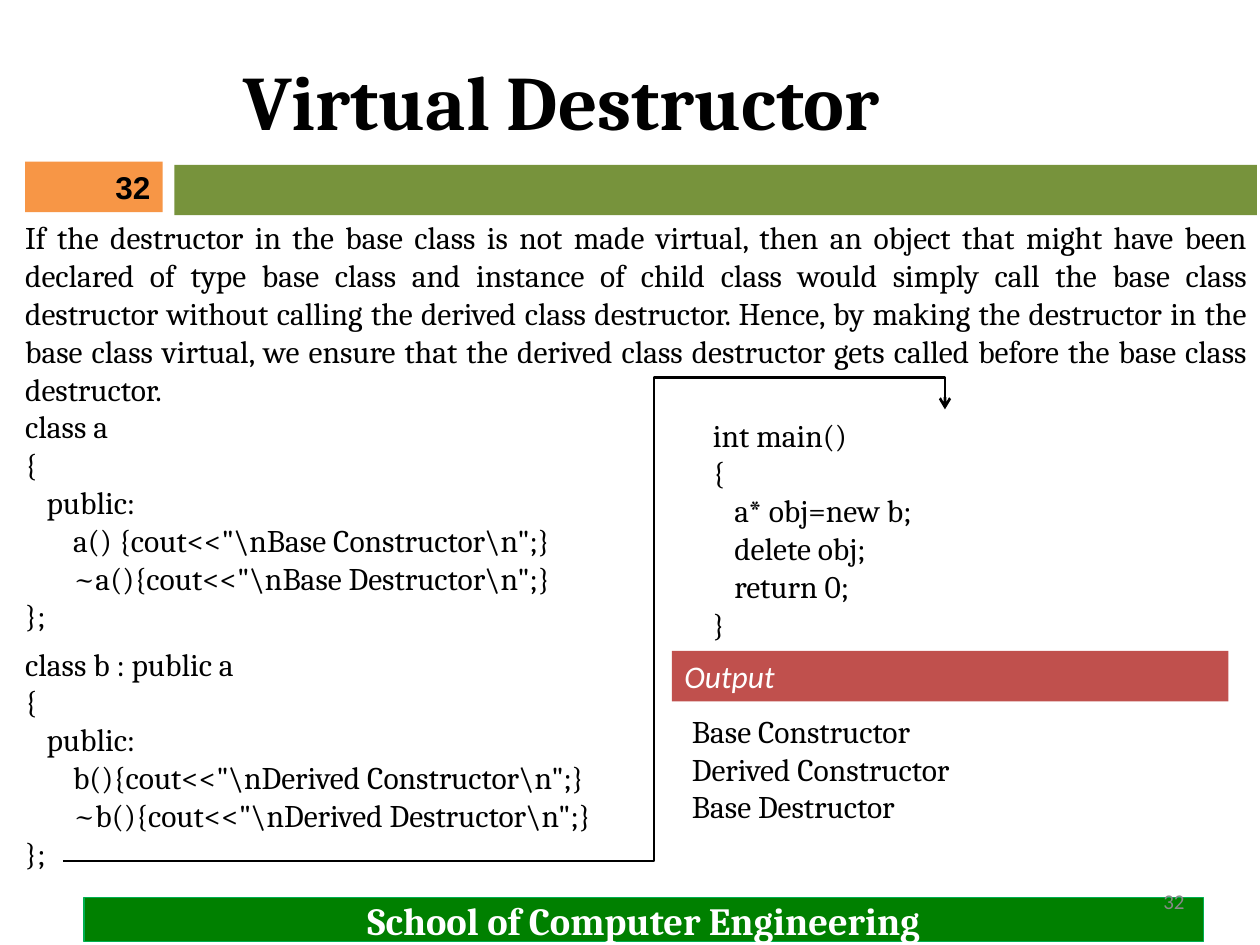
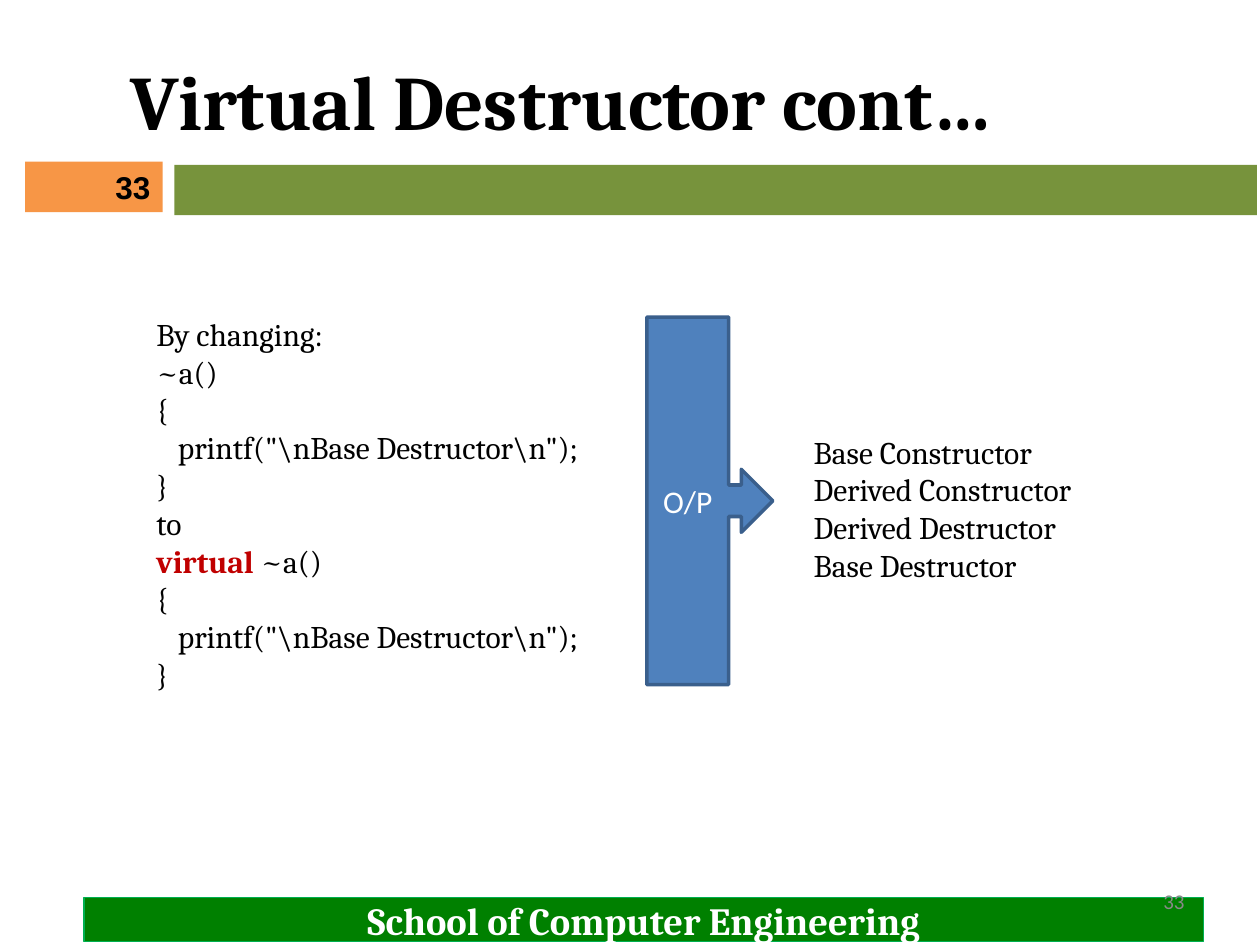
from lxml import etree
from pptx import Presentation
from pptx.dml.color import RGBColor
from pptx.enum.shapes import MSO_CONNECTOR, MSO_SHAPE
from pptx.enum.text import MSO_ANCHOR, MSO_AUTO_SIZE, PP_ALIGN
from pptx.oxml.ns import qn
from pptx.util import Inches, Pt

BLACK = RGBColor(0x00, 0x00, 0x00)
WHITE = RGBColor(0xFF, 0xFF, 0xFF)
GRAY = RGBColor(0x89, 0x89, 0x89)
GREEN = RGBColor(0x00, 0x80, 0x00)
GREEN_EDGE = RGBColor(0x00, 0xB0, 0x50)
OLIVE = RGBColor(0x77, 0x93, 0x3C)
ORANGE = RGBColor(0xF7, 0x96, 0x46)
RED = RGBColor(0xC0, 0x50, 0x4D)
DARK_RED = RGBColor(0xC0, 0x00, 0x00)
BLUE = RGBColor(0x4F, 0x81, 0xBD)
BLUE_EDGE = RGBColor(0x3A, 0x5F, 0x8C)

LEFT, CENTER, RIGHT, JUSTIFY = (PP_ALIGN.LEFT, PP_ALIGN.CENTER,
                                PP_ALIGN.RIGHT, PP_ALIGN.JUSTIFY)
TOP, MIDDLE = MSO_ANCHOR.TOP, MSO_ANCHOR.MIDDLE
GROW = MSO_AUTO_SIZE.SHAPE_TO_FIT_TEXT
RECT, CALLOUT = MSO_SHAPE.RECTANGLE, MSO_SHAPE.RIGHT_ARROW_CALLOUT
ELBOW = MSO_CONNECTOR.ELBOW

SERIF, SANS, PLAIN = "Cambria", "Calibri", "Arial"
COLUMNS, ROWS = 120, 90
INDENTS = (0.06, 0.23, 0.44)  # inches, by number of leading tabs


class Deck:
    """Builds slides on a grid of 120 columns by 90 rows."""

    def __init__(self):
        self.prs = Presentation()
        self.prs.slide_width, self.prs.slide_height = Inches(10), Inches(7.5)
        self.s = None

    def x(self, columns):
        return round(self.prs.slide_width * columns / COLUMNS)

    def y(self, rows):
        return round(self.prs.slide_height * rows / ROWS)

    def box(self, left, top, width, height):
        return self.x(left), self.y(top), self.x(width), self.y(height)

    def style(self, p, size, font, color, align, bold=False, italic=False):
        p.alignment = align
        p.font.size, p.font.name = Pt(size), font
        p.font.bold, p.font.italic = bold, italic
        p.font.color.rgb = color

    def title(self, text):
        self.s = self.prs.slides.add_slide(self.prs.slide_layouts[5])
        sp = self.s.shapes.title
        sp.left, sp.top, sp.width, sp.height = self.box(0, 3, 107, 13)
        tf = sp.text_frame
        tf.text, tf.vertical_anchor = text, MIDDLE
        self.style(tf.paragraphs[0], 44, SERIF, BLACK, CENTER, bold=True)

    def shape(self, kind, place, fill, edge=None, width=1):
        sp = self.s.shapes.add_shape(kind, *self.box(*place))
        sp.shadow.inherit = False
        sp.fill.solid()
        sp.fill.fore_color.rgb = fill
        if edge is None:
            sp.line.fill.background()
        else:
            sp.line.color.rgb, sp.line.width = edge, Pt(width)
        return sp

    def label(self, sp, text, *style, anchor=MIDDLE, **flags):
        tf = sp.text_frame
        tf.word_wrap, tf.vertical_anchor = True, anchor
        tf.text = text
        self.style(tf.paragraphs[0], *style, **flags)

    def text_box(self, place):
        return self.s.shapes.add_textbox(*self.box(*place))

    def lines(self, place, texts, spaced=(), keyword=None):
        """Text lines; leading tabs set the indent, keyword is highlighted."""
        tf = self.text_box(place).text_frame
        tf.word_wrap, tf.auto_size = True, GROW
        for i, text in enumerate(texts):
            p = tf.paragraphs[0] if i == 0 else tf.add_paragraph()
            content = text.lstrip("\t")
            p.level = 1
            pPr = p._p.get_or_add_pPr()
            pPr.set("marL", str(Inches(INDENTS[len(text) - len(content)])))
            pPr.set("indent", "0")
            self.style(p, 18, SERIF, BLACK, JUSTIFY)
            p.space_before = Pt(6 if i in spaced else 0)
            if keyword and content.startswith(keyword):
                r = p.add_run()
                r.text, r.font.bold = keyword, True
                r.font.color.rgb = DARK_RED
                content = content[len(keyword):]
            p.add_run().text = content

    def bent_arrow(self, start, end, turn, rise):
        """Elbow arrow; turn and rise are shares of its width and height."""
        c = self.s.shapes.add_connector(ELBOW, self.x(start[0]), self.y(start[1]),
                                        self.x(end[0]), self.y(end[1]))
        c.line.color.rgb, c.line.width = BLACK, Pt(1.5)
        spPr = c._element.spPr
        geom = spPr.find(qn("a:prstGeom"))
        geom.set("prst", "bentConnector4")
        guides = geom.find(qn("a:avLst"))
        for name, share in (("adj1", turn), ("adj2", rise)):
            etree.SubElement(guides, qn("a:gd"), name=name,
                             fmla=f"val {round(share * 100000)}")
        etree.SubElement(spPr.find(qn("a:ln")), qn("a:tailEnd"), type="arrow")
        etree.SubElement(spPr, qn("a:effectLst"))

    def frame(self, number):
        """Bands, footer and both slide numbers."""
        footer = self.shape(RECT, (8, 85.5, 106.6, 4.2), GREEN, GREEN_EDGE, 0.75)
        self.label(footer, "School of Computer Engineering",
                   22, SERIF, WHITE, CENTER, bold=True)
        self.label(self.text_box((86, 83.4, 28, 4.8)), str(number),
                   12, SANS, GRAY, RIGHT)
        self.shape(RECT, (16.6, 15.7, 103.1, 4.8), OLIVE)
        tab = self.shape(RECT, (2.4, 15.4, 13.1, 4.8), ORANGE)
        self.label(tab, str(number), 18, PLAIN, BLACK, RIGHT, bold=True)


deck = Deck()

# Slide 32: base class without a virtual destructor
deck.title("Virtual Destructor")
deck.frame(32)
deck.lines((0.5, 20.2, 119.5, 64), [
    "If the destructor in the base class is not made virtual, then an object "
    "that might have been declared of type base class and instance of child "
    "class would simply call the base class destructor without calling the "
    "derived class destructor. Hence, by making the destructor in the base "
    "class virtual, we ensure that the derived class destructor gets called "
    "before the base class destructor.",
    "class a",
    "{",
    "\tpublic:",
    '\t\ta() {cout<<"\\nBase Constructor\\n";}',
    '\t\t~a(){cout<<"\\nBase Destructor\\n";}',
    "};",
    "class b : public a",
    "{",
    "\tpublic:",
    '\t\tb(){cout<<"\\nDerived Constructor\\n";}',
    '\t\t~b(){cout<<"\\nDerived Destructor\\n";}',
    "};",
], spaced=(0, 7))
deck.lines((66, 39, 48, 23), [
    "int main()", "{", "\ta* obj=new b;", "\tdelete obj;", "\treturn 0;", "}"])
deck.bent_arrow((6, 82), (90, 39), 0.67, 1.07)
output = deck.shape(RECT, (64, 62, 53, 4.8), RED)
deck.label(output, "Output", 18, SANS, WHITE, LEFT, anchor=TOP, italic=True)
deck.lines((64, 67.2, 53, 12.1), [
    "Base Constructor", "Derived Constructor", "Base Destructor"])

# Slide 33: effect of making it virtual
deck.title("Virtual Destructor cont…")
deck.frame(33)
body = ["{", '\tprintf("\\nBase Destructor\\n");', "}"]
deck.lines((13, 29.4, 52.5, 37.5),
           ["By changing:", "~a()", *body, "to", "virtual ~a()", *body],
           keyword="virtual")
callout = deck.shape(CALLOUT, (61.6, 30.2, 12, 35), BLUE, BLUE_EDGE, 2)
deck.label(callout, "O/P", 18, SANS, WHITE, CENTER)
deck.lines((75.6, 40.6, 32.4, 15.7), [
    "Base Constructor", "Derived Constructor",
    "Derived Destructor", "Base Destructor"])

deck.prs.save("out.pptx")
